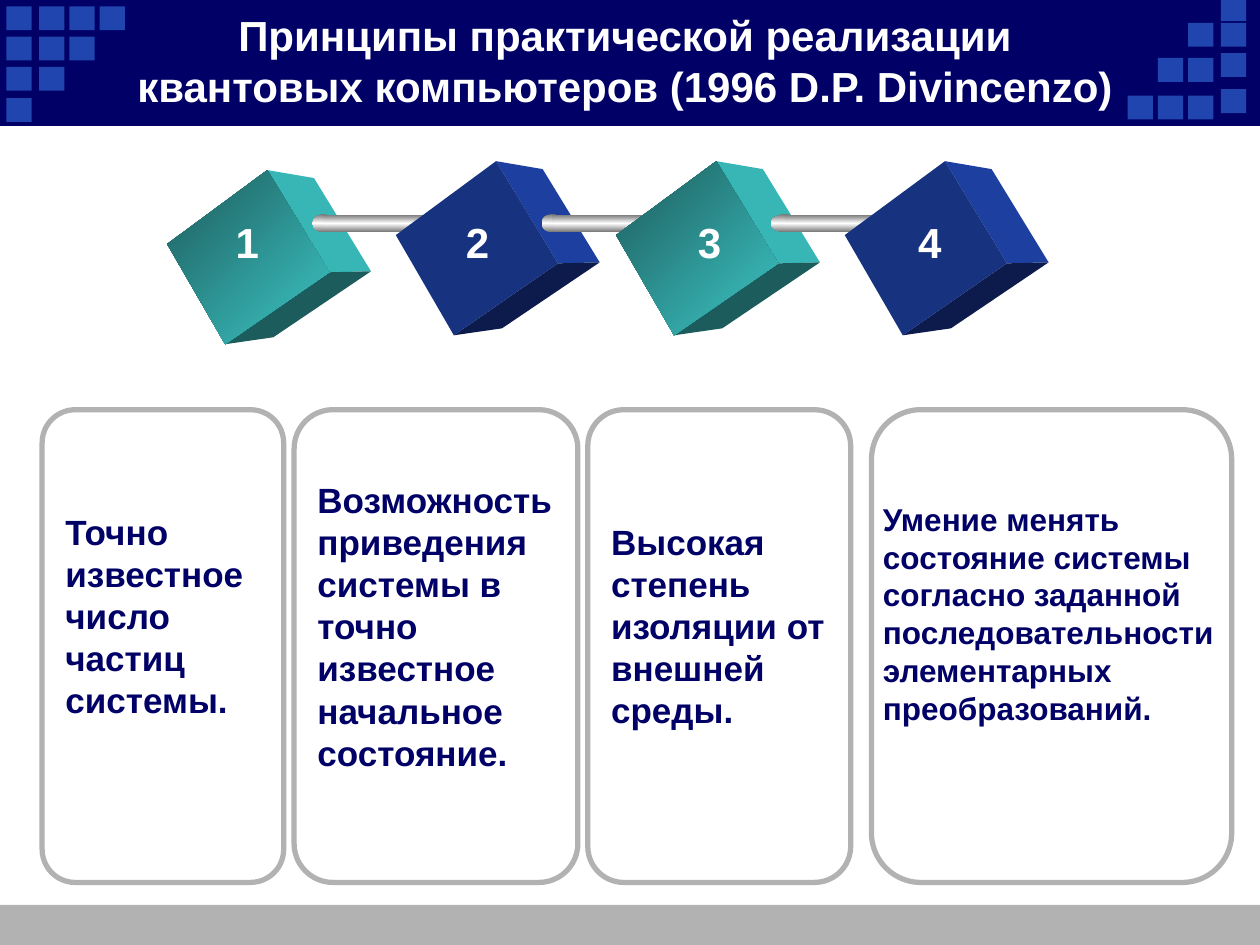
from copy import deepcopy
from dataclasses import dataclass

from pptx import Presentation
from pptx.dml.color import RGBColor
from pptx.enum.shapes import MSO_SHAPE
from pptx.enum.text import MSO_ANCHOR, MSO_AUTO_SIZE, PP_ALIGN
from pptx.oxml.ns import qn
from pptx.util import Cm, Pt

RECT, ROUND_RECT, OVAL = MSO_SHAPE.RECTANGLE, MSO_SHAPE.ROUNDED_RECTANGLE, MSO_SHAPE.OVAL
LEFT, CENTER = PP_ALIGN.LEFT, PP_ALIGN.CENTER
TOP, MIDDLE = MSO_ANCHOR.TOP, MSO_ANCHOR.MIDDLE
FIT_SHAPE = MSO_AUTO_SIZE.SHAPE_TO_FIT_TEXT

NAVY = RGBColor(0x00, 0x00, 0x66)
SQUARE_BLUE = RGBColor(0x20, 0x45, 0xAE)
GRAY = RGBColor(0xB2, 0xB2, 0xB2)
WHITE = RGBColor(0xFF, 0xFF, 0xFF)
STEEL = RGBColor(0x76, 0x76, 0x76)
TEAL = RGBColor(0x3D, 0xC5, 0xC5)
TEAL_DEEP = RGBColor(0x1D, 0x5C, 0x5C)
TEAL_SIDE = RGBColor(0x38, 0xB6, 0xB6)
BLUE_FRONT = RGBColor(0x17, 0x32, 0x7F)
BLUE_SIDE = RGBColor(0x1D, 0x3F, 0x9F)
BLUE_BASE = RGBColor(0x0C, 0x1B, 0x4B)


@dataclass
class Palette:
    front: list
    side: list
    base: list


@dataclass
class Cube:
    x: float
    y: float
    palette: Palette
    label_x: float


@dataclass
class Rod:
    x: float
    cap_w: float
    bar_w: float


@dataclass
class Panel:
    x: float
    w: float
    text_x: float
    text_y: float
    text_w: float
    size: int
    lines: list


TEALS = Palette([TEAL_DEEP, TEAL], [TEAL_SIDE], [TEAL_DEEP])
BLUES = Palette([BLUE_FRONT], [BLUE_SIDE], [BLUE_BASE])
CUBES = [
    Cube(3.37, 3.43, TEALS, 4.45),
    Cube(7.98, 3.25, BLUES, 9.09),
    Cube(12.42, 3.25, TEALS, 13.77),
    Cube(17.03, 3.25, BLUES, 18.21),
]
RODS = [Rod(6.3, 0.43, 2.08), Rod(10.92, 0.43, 2.08), Rod(15.54, 0.56, 2.72)]
PANELS = [
    Panel(0.85, 4.87, 1.07, 10.16, 4.45, 20, ["Точно известное число частиц системы."]),
    Panel(5.93, 5.72, 6.15, 9.53, 5.3, 20,
          ["Возможность приведения системы в точно известное начальное состояние."]),
    Panel(11.85, 5.3, 12.07, 10.37, 5.08, 20, ["Высокая степень изоляции от внешней среды."]),
    Panel(17.57, 7.26, 17.55, 9.95, 7.85, 18,
          ["Умение менять", "состояние системы", "согласно заданной",
           "последовательности", "элементарных", "преобразований."]),
]

# Cube corners relative to its top-left bound, in cm
F_LEFT, F_TOP, F_RIGHT, F_BOTTOM = (0, 1.49), (2.02, 0), (3.27, 2.06), (1.17, 3.51)
B_TOP, B_RIGHT, B_BOTTOM = (2.96, 0.16), (4.11, 2.04), (2.14, 3.37)
FACES = {
    "side": (F_TOP, B_TOP, B_RIGHT, F_RIGHT),
    "base": (F_RIGHT, B_RIGHT, B_BOTTOM, F_BOTTOM),
    "front": (F_LEFT, F_TOP, F_RIGHT, F_BOTTOM),
}

# Header squares: x -> list of y
LEFT_X, LEFT_Y = (0.13, 0.79, 1.4, 2.01), (0.13, 0.74, 1.35, 1.98)
SQUARES = {x: LEFT_Y[:4 - i] for i, x in enumerate(LEFT_X)}
RIGHT_Y = (0.46, 1.17, 1.93)
SQUARES |= {x: RIGHT_Y[2 - i:] for i, x in enumerate((22.73, 23.34, 23.95))}
SQUARES[24.61] = (-0.05, 0.46, 1.07, 1.8)


def paint(sp, colors: list, angle: int = 0) -> None:
    """Fill a shape with one colour or an even gradient; no line, no shadow."""
    sp.shadow.inherit = False
    sp.line.fill.background()
    if len(colors) == 1:
        sp.fill.solid()
        sp.fill.fore_color.rgb = colors[0]
        return
    sp.fill.gradient()
    sp.fill.gradient_angle = angle
    stops = sp._element.spPr.find(qn("a:gradFill")).find(qn("a:gsLst"))
    while len(stops) < len(colors):
        stops.append(deepcopy(stops[0]))
    for i, (stop, color) in enumerate(zip(sp.fill.gradient_stops, colors)):
        stop.position = i / (len(colors) - 1)
        stop.color.rgb = color


def add_block(s, kind, x: float, y: float, w: float, h: float, colors: list):
    sp = s.shapes.add_shape(kind, Cm(x), Cm(y), Cm(w), Cm(h))
    paint(sp, colors, 90)
    return sp


def add_text(s, x: float, y: float, w: float, h: float, lines: list, size: int,
             color: RGBColor, align=LEFT, anchor=TOP, fit: bool = True) -> None:
    tf = s.shapes.add_textbox(Cm(x), Cm(y), Cm(w), Cm(h)).text_frame
    tf.word_wrap = True
    tf.vertical_anchor = anchor
    if fit:
        tf.auto_size = FIT_SHAPE
    for i, line in enumerate(lines):
        p = tf.paragraphs[0] if i == 0 else tf.add_paragraph()
        p.alignment = align
        r = p.add_run()
        r.text = line
        for name, value in {"name": "Arial", "size": Pt(size), "bold": True}.items():
            setattr(r.font, name, value)
        r.font.color.rgb = color


def add_cube(s, cube: Cube) -> None:
    for name, corners in FACES.items():
        pts = [(Cm(cube.x + x), Cm(cube.y + y)) for x, y in corners]
        builder = s.shapes.build_freeform(*pts[0])
        builder.add_line_segments(pts[1:], close=True)
        paint(builder.convert_to_shape(), getattr(cube.palette, name), 315)


def add_rod(s, rod: Rod) -> None:
    metal = [STEEL, WHITE, STEEL]
    add_block(s, OVAL, rod.x, 4.32, rod.cap_w, 0.36, metal)
    add_block(s, RECT, rod.x + rod.cap_w / 2, 4.33, rod.bar_w, 0.35, metal)


def add_panel(s, panel: Panel) -> None:
    sp = add_block(s, ROUND_RECT, panel.x, 8.26, panel.w, 9.53, [WHITE])
    sp.adjustments[0] = 0.137
    sp.fill.background()
    sp.line.color.rgb = GRAY
    sp.line.width = Pt(3)


def main() -> None:
    prs = Presentation()
    prs.slide_width, prs.slide_height = Cm(25.4), Cm(19.05)
    s = prs.slides.add_slide(prs.slide_layouts[6])

    # Header and footer bands
    add_block(s, RECT, 0, 18.24, 25.4, 0.81, [GRAY])
    add_block(s, RECT, 0, 0, 25.4, 2.54, [NAVY])
    for x, ys in SQUARES.items():
        for y in ys:
            add_block(s, RECT, x, y, 0.51, 0.48, [SQUARE_BLUE])
    add_text(s, 2.34, 0.43, 20.52, 1.57,
             ["Принципы практической реализации квантовых компьютеров (1996 D.P. Divincenzo)"],
             24, WHITE, CENTER, MIDDLE, fit=False)

    # Chain of cubes; each rod runs behind the next cube
    for i, cube in enumerate(CUBES):
        add_cube(s, cube)
        if i < len(RODS):
            add_rod(s, RODS[i])
    for number, cube in enumerate(CUBES, 1):
        add_text(s, cube.label_x, 4.24, 1.07, 1.27, [str(number)], 24, WHITE, CENTER)

    # Principles
    for panel in PANELS:
        add_panel(s, panel)
        add_text(s, panel.text_x, panel.text_y, panel.text_w, 4.6,
                 panel.lines, panel.size, NAVY)

    prs.save("out.pptx")


if __name__ == "__main__":
    main()
